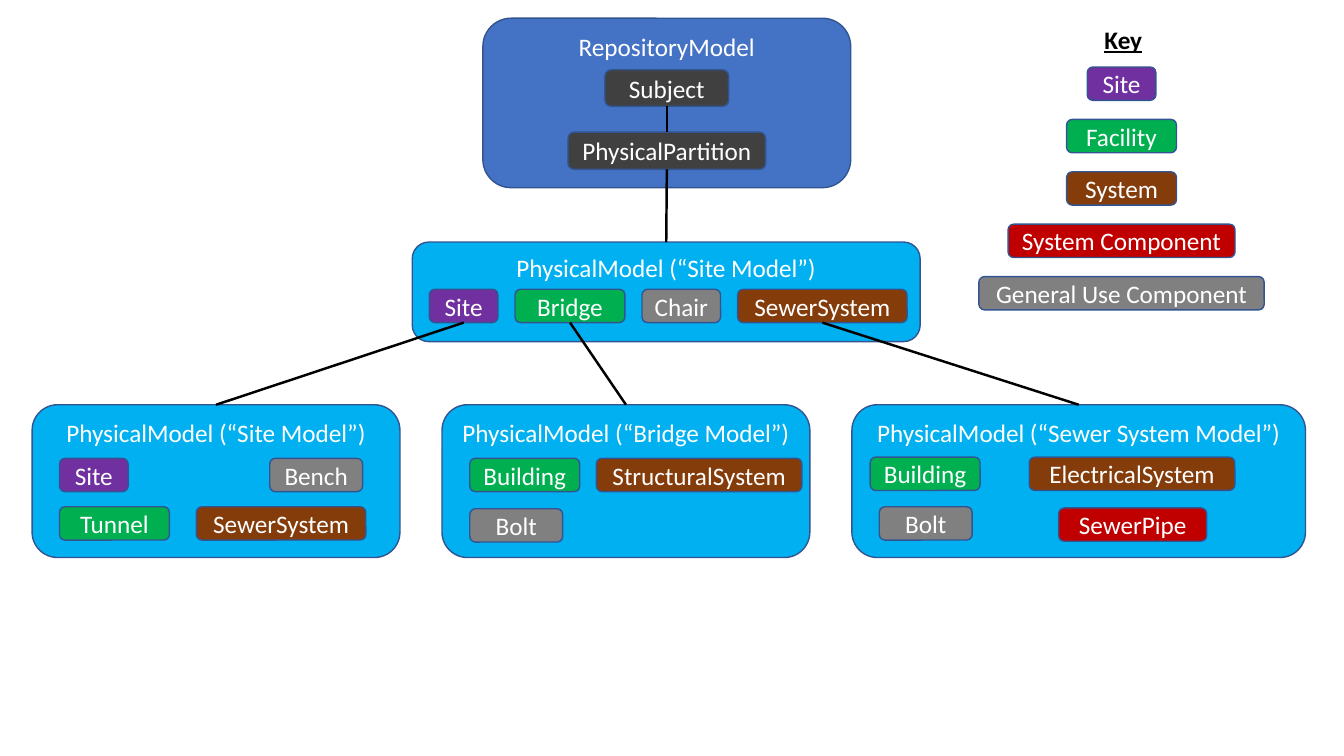
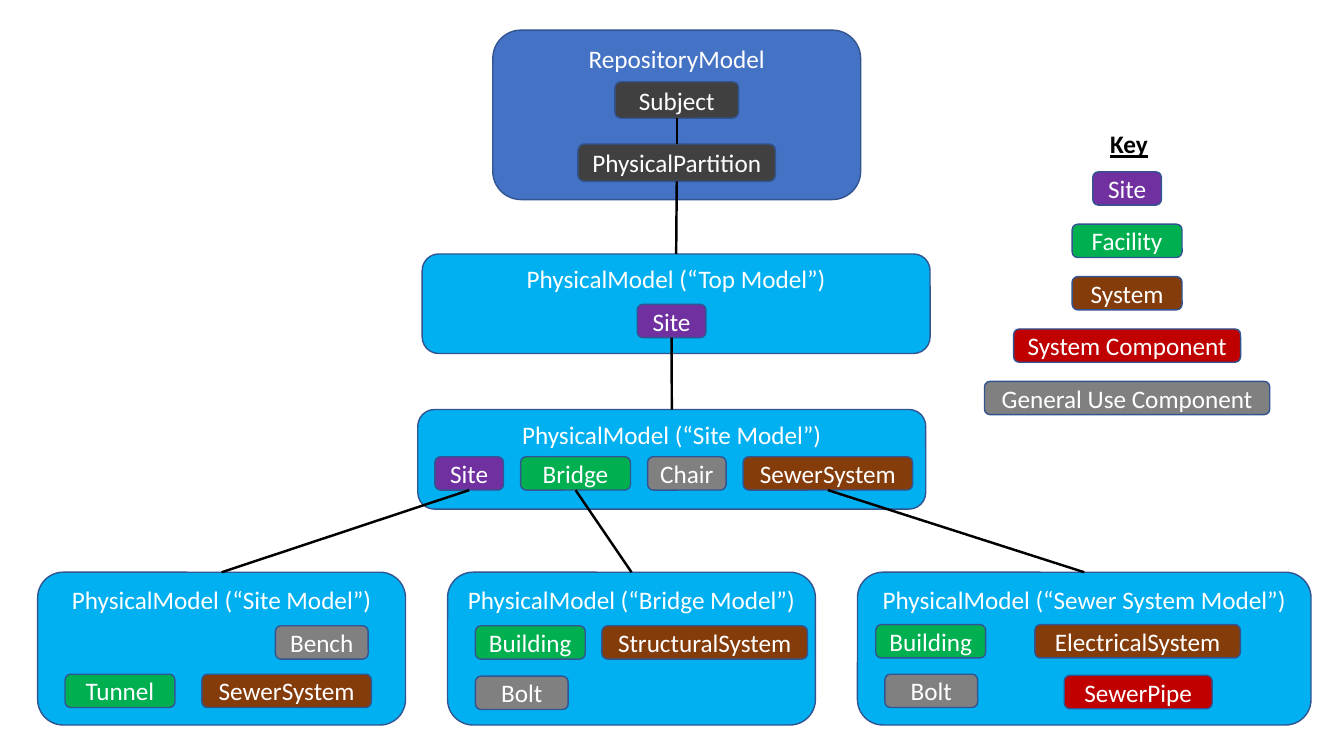
from collections import namedtuple

from lxml.etree import SubElement
from pptx import Presentation
from pptx.dml.color import RGBColor
from pptx.enum.shapes import MSO_CONNECTOR as Connector, MSO_SHAPE as Shape
from pptx.enum.text import MSO_ANCHOR as Anchor, PP_ALIGN as Align
from pptx.oxml.ns import qn
from pptx.util import Cm, Pt

WHITE = RGBColor(0xFF, 0xFF, 0xFF)
BLACK = RGBColor(0x00, 0x00, 0x00)
OUTLINE = RGBColor(0x32, 0x54, 0x91)
REPOSITORY = RGBColor(0x44, 0x72, 0xC4)
MODEL = RGBColor(0x00, 0xB0, 0xF0)
PARTITION = RGBColor(0x40, 0x40, 0x40)
SITE = RGBColor(0x70, 0x30, 0xA0)
FACILITY = RGBColor(0x00, 0xB0, 0x50)
SYSTEM = RGBColor(0x84, 0x3C, 0x0B)
COMPONENT = RGBColor(0xC0, 0x00, 0x00)
GENERAL = RGBColor(0x80, 0x80, 0x80)

Box = namedtuple("Box", "left top width height")
Chip = namedtuple("Chip", "label color width height", defaults=[0.84])

SITE_CHIP = Chip("Site", SITE, 1.73)
SEWER_CHIP = Chip("SewerSystem", SYSTEM, 4.27)
BUILDING_CHIP = Chip("Building", FACILITY, 2.77)
BOLT_CHIP = Chip("Bolt", GENERAL, 2.34)
SITE_MODEL_ROW = [
    SITE_CHIP,
    Chip("Bridge", FACILITY, 2.77),
    Chip("Chair", GENERAL, 1.98),
    SEWER_CHIP,
]
KEY_CHIPS = [
    SITE_CHIP,
    Chip("Facility", FACILITY, 2.77),
    Chip("System", SYSTEM, 2.77),
    Chip("System Component", COMPONENT, 5.72),
    Chip("General Use Component", GENERAL, 7.19),
]
SITE_CHILD = [
    (Chip("Tunnel", FACILITY, 2.77), 0.69, 2.57),
    (SEWER_CHIP, 4.14, 2.57),
    (Chip("Bench", GENERAL, 2.34), 5.99, 1.35),
]
BRIDGE_CHILD = [
    (BUILDING_CHIP, 0.7, 1.35),
    (Chip("StructuralSystem", SYSTEM, 5.18), 3.89, 1.35),
    (BOLT_CHIP, 0.7, 2.62),
]
SEWER_CHILD = [
    (BUILDING_CHIP, 0.46, 1.32),
    (Chip("ElectricalSystem", SYSTEM, 5.18), 4.47, 1.32),
    (BOLT_CHIP, 0.69, 2.57),
    (Chip("SewerPipe", COMPONENT, 3.73), 5.21, 2.6),
]


def write_text(shape, text, color):
    """Write one line in the shared type style and return its run."""
    frame = shape.text_frame
    frame.text = text
    span = frame.paragraphs[0].runs[0]
    span.font.name = "Calibri"
    span.font.size = Pt(18)
    span.font.color.rgb = color
    return span


def add_block(page, box, text, fill, anchor):
    """Draw a rounded, outlined block with centred white text."""
    block = page.shapes.add_shape(Shape.ROUNDED_RECTANGLE, *map(Cm, box))
    block.shadow.inherit = False
    block.fill.solid()
    block.fill.fore_color.rgb = fill
    block.line.color.rgb = OUTLINE
    block.line.width = Pt(1)
    write_text(block, text, WHITE)
    block.text_frame.word_wrap = True
    block.text_frame.vertical_anchor = anchor
    block.text_frame.paragraphs[0].alignment = Align.CENTER
    return block


def add_chip(page, chip, left, top):
    """Draw one element chip."""
    box = Box(left, top, chip.width, chip.height)
    return add_block(page, box, chip.label, chip.color, Anchor.MIDDLE)


def add_model(page, box, name, placed_chips):
    """Draw a physical model with its chips at offsets from its corner."""
    title = f"PhysicalModel (“{name}”)"
    panel = add_block(page, box, title, MODEL, Anchor.TOP)
    chips = [
        add_chip(page, chip, box.left + across, box.top + down)
        for chip, across, down in placed_chips
    ]
    return panel, chips


def add_link(page, parent, child):
    """Join the bottom of the parent to the top of the child."""
    link = page.shapes.add_connector(Connector.STRAIGHT, 0, 0, 0, 0)
    link.begin_connect(parent, 2)
    link.end_connect(child, 0)
    link.line.color.rgb = BLACK
    link.line.width = Pt(1.75)
    SubElement(link._element.spPr, qn("a:effectLst"))


def add_repository(page, left, top):
    """Draw the repository model and return its partition chip."""
    box = Box(left, top, 9.27, 4.27)
    add_block(page, box, "RepositoryModel", REPOSITORY, Anchor.TOP)
    subject, partition = [
        add_chip(page, chip, left + (box.width - chip.width) / 2, top + down)
        for chip, down in [
            (Chip("Subject", PARTITION, 3.12, 0.92), 1.3),
            (Chip("PhysicalPartition", PARTITION, 4.98, 0.94), 2.87),
        ]
    ]
    add_link(page, subject, partition)
    return partition


def add_site_tree(page, left, top, site_child):
    """Draw the site model with its three child models and return its panel."""
    gap = across = 0.43
    row = []
    for chip in SITE_MODEL_ROW:
        row.append((chip, across, 1.19))
        across += chip.width + gap
    box = Box(left + 9.58, top, 12.8, 2.51)
    root, (site, bridge, _, sewer) = add_model(page, box, "Site Model", row)

    children = [
        (site, "Site Model", 9.27, site_child),
        (bridge, "Bridge Model", 9.27, BRIDGE_CHILD),
        (sewer, "Sewer System Model", 11.43, SEWER_CHILD),
    ]
    for column, (parent, name, width, chips) in enumerate(children):
        child_box = Box(left + column * 10.33, top + 4.1, width, 3.85)
        panel, _ = add_model(page, child_box, name, chips)
        add_link(page, parent, panel)
    return root


def add_key(page, left, top):
    """Draw the colour key, centred on its widest chip."""
    center = left + KEY_CHIPS[-1].width / 2
    heading = page.shapes.add_textbox(
        Cm(center - 0.68), Cm(top), Cm(1.47), Cm(1.02)
    )
    heading.text_frame.word_wrap = False
    span = write_text(heading, "Key", BLACK)
    span.font.bold = True
    span.font.underline = True
    for row, chip in enumerate(KEY_CHIPS):
        add_chip(page, chip, center - chip.width / 2, top + 1.21 + row * 1.32)


def build_site_slide(page):
    """Build the slide whose site model hangs from the repository."""
    partition = add_repository(page, 12.17, 0.46)
    nested_site = (SITE_CHIP, 0.69, 1.35)
    root = add_site_tree(page, 0.81, 6.1, [nested_site] + SITE_CHILD)
    add_link(page, partition, root)
    add_key(page, 24.67, 0.48)


def build_top_model_slide(page):
    """Build the slide with a top model above the site model."""
    partition = add_repository(page, 12.42, 0.76)
    root = add_site_tree(page, 0.95, 10.32, SITE_CHILD)
    box = Box(10.64, 6.4, 12.8, 2.51)
    top_model, (site,) = add_model(
        page, box, "Top Model", [(SITE_CHIP, 5.42, 1.27)]
    )
    add_link(page, partition, top_model)
    add_link(page, site, root)
    add_key(page, 24.81, 3.12)


def main():
    """Build and save the deck."""
    deck = Presentation()
    deck.slide_width = Cm(33.87)
    deck.slide_height = Cm(19.05)
    for build in (build_site_slide, build_top_model_slide):
        build(deck.slides.add_slide(deck.slide_layouts[6]))
    deck.save("out.pptx")


main()
